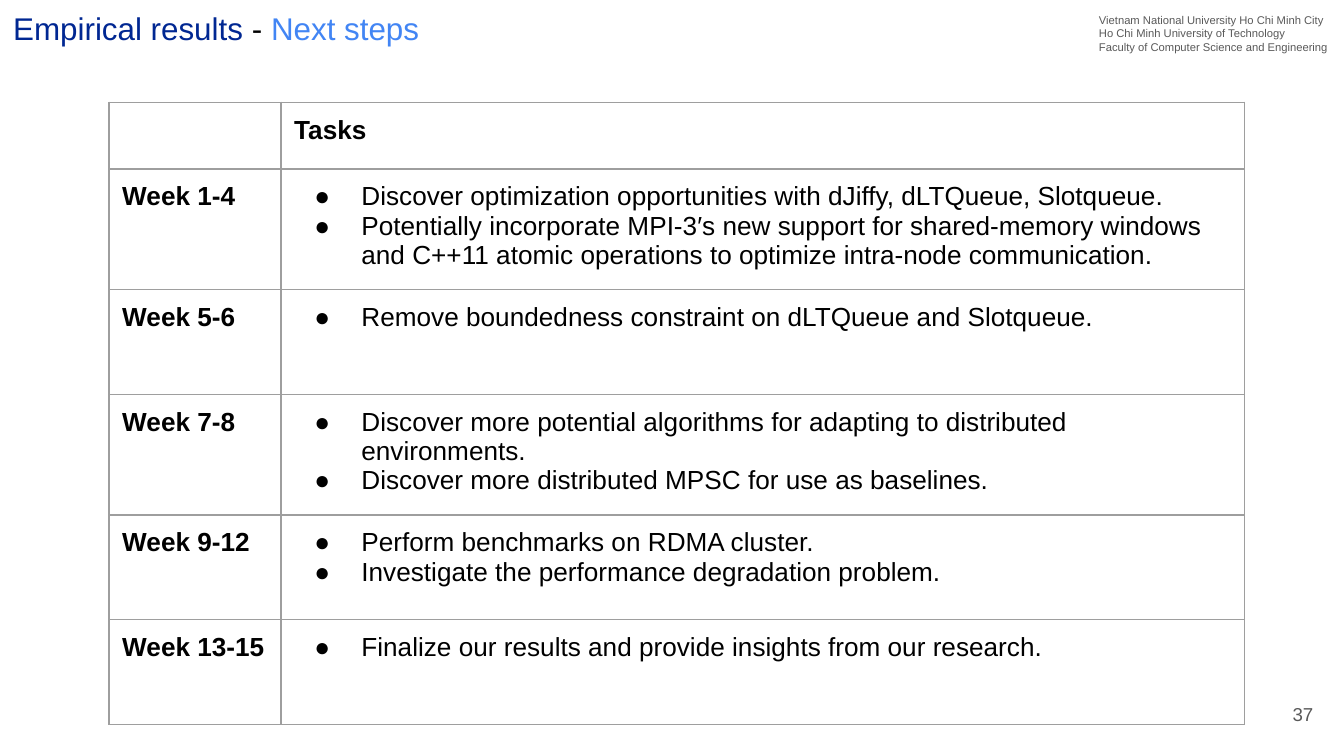
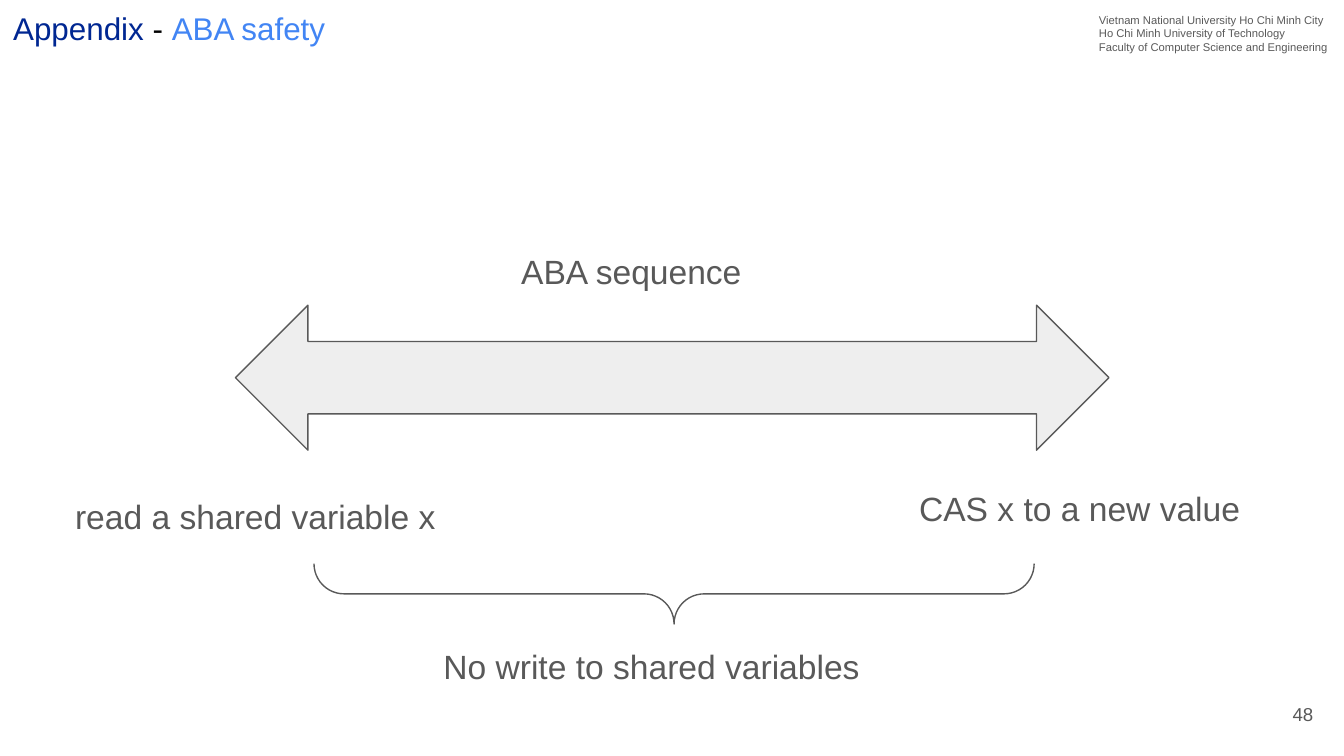
from lxml.etree import SubElement
from pptx import Presentation
from pptx.dml.color import RGBColor
from pptx.enum.shapes import MSO_SHAPE
from pptx.enum.text import MSO_ANCHOR, MSO_AUTO_SIZE, PP_ALIGN
from pptx.oxml.ns import qn
from pptx.util import Cm, Pt

NAVY, BLUE, BLACK = "002792", "4285F4", "000000"
GRAY, SILVER, BORDER = "595959", "EEEEEE", "9E9E9E"
INSET = 0.25

AFFILIATION = [
    "Vietnam National University Ho Chi Minh City",
    "Ho Chi Minh University of Technology",
    "Faculty of Computer Science and Engineering",
]
PLAN = [
    ("Week 1-4", [
        "Discover optimization opportunities with dJiffy, dLTQueue, Slotqueue.",
        "Potentially incorporate MPI-3′s new support for shared-memory windows "
        "and C++11 atomic operations to optimize intra-node communication.",
    ]),
    ("Week 5-6", ["Remove boundedness constraint on dLTQueue and Slotqueue."]),
    ("Week 7-8", [
        "Discover more potential algorithms for adapting to distributed environments.",
        "Discover more distributed MPSC for use as baselines.",
    ]),
    ("Week 9-12", [
        "Perform benchmarks on RDMA cluster.",
        "Investigate the performance degradation problem.",
    ]),
    ("Week 13-15", ["Finalize our results and provide insights from our research."]),
]


def rgb(color):
    return RGBColor.from_string(color)


def add_run(p, text, size=18, color=GRAY, bold=False):
    r = p.add_run()
    r.text = text
    r.font.name = "Arial"
    r.font.size = Pt(size)
    r.font.bold = bold
    r.font.color.rgb = rgb(color)


def add_bullet(p):
    pPr = p._p.get_or_add_pPr()
    pPr.set("marL", str(Cm(1.27)))
    pPr.set("indent", str(Cm(-0.89)))
    clr = SubElement(pPr, qn("a:buClr"))
    SubElement(clr, qn("a:srgbClr"), val=BLACK)
    SubElement(pPr, qn("a:buFont"), typeface="Arial")
    SubElement(pPr, qn("a:buChar"), char="●")


def fill_text(tf, lines, align=None, bullets=False, **fmt):
    for i, line in enumerate(lines):
        p = tf.add_paragraph() if i else tf.paragraphs[0]
        if align is not None:
            p.alignment = align
        if bullets:
            add_bullet(p)
        add_run(p, line, **fmt)


def set_borders(cell):
    tcPr = cell._tc.get_or_add_tcPr()
    for side in ("lnL", "lnR", "lnT", "lnB"):
        ln = SubElement(tcPr, qn(f"a:{side}"), w=str(Pt(0.75)))
        fill = SubElement(ln, qn("a:solidFill"))
        SubElement(fill, qn("a:srgbClr"), val=BORDER)


class Deck:
    def __init__(self):
        self.prs = Presentation()
        self.prs.slide_width = Cm(25.4)
        self.prs.slide_height = Cm(14.29)
        self.s = None

    def slide(self, section, topic, number):
        self.s = self.prs.slides.add_slide(self.prs.slide_layouts[6])
        p = self.frame(0, 0, 18.19, 1.14, MSO_ANCHOR.BOTTOM).paragraphs[0]
        for text, color in ((f"{section} ", NAVY), ("- ", BLACK), (topic, BLUE)):
            add_run(p, text, size=16.8, color=color)
        tf = self.text(AFFILIATION, 20.52, 0, 4.83, size=6)
        tf.margin_right = 0
        tf = self.frame(23.55, 12.95, 1.52, 1.09, MSO_ANCHOR.MIDDLE)
        fill_text(tf, [str(number)], align=PP_ALIGN.RIGHT, size=10)

    def frame(self, x, y, w, h, anchor=MSO_ANCHOR.TOP):
        tf = self.s.shapes.add_textbox(Cm(x), Cm(y), Cm(w), Cm(h)).text_frame
        tf.word_wrap = True
        tf.vertical_anchor = anchor
        tf.margin_left = tf.margin_right = Cm(INSET)
        tf.margin_top = tf.margin_bottom = Cm(INSET)
        return tf

    def text(self, lines, x, y, w, **fmt):
        tf = self.frame(x, y, w, 1.27)
        tf.auto_size = MSO_AUTO_SIZE.SHAPE_TO_FIT_TEXT
        fill_text(tf, lines, **fmt)
        return tf

    def shape(self, kind, x, y, w, h, fill=None, rotation=0):
        sp = self.s.shapes.add_shape(kind, Cm(x), Cm(y), Cm(w), Cm(h))
        sp.shadow.inherit = False
        sp.rotation = rotation
        sp.adjustments[0] = sp.adjustments[1] = 0.5
        if fill:
            sp.fill.solid()
            sp.fill.fore_color.rgb = rgb(fill)
        else:
            sp.fill.background()
        sp.line.color.rgb = rgb(GRAY)
        sp.line.width = Pt(0.75)

    def table(self, plan, x, y, cols, rows):
        table = self.s.shapes.add_table(
            len(rows), len(cols), Cm(x), Cm(y), Cm(sum(cols)), Cm(sum(rows))
        ).table
        table.first_row = table.horz_banding = False
        for col, width in zip(table.columns, cols):
            col.width = Cm(width)
        for row, height in zip(table.rows, rows):
            row.height = Cm(height)
        for cell in table.iter_cells():
            cell.margin_left = cell.margin_right = Cm(INSET)
            cell.margin_top = cell.margin_bottom = Cm(INSET)
            set_borders(cell)
            cell.fill.background()
        style = dict(size=14, color=BLACK)
        fill_text(table.cell(0, 1).text_frame, ["Tasks"], bold=True, **style)
        for i, (week, tasks) in enumerate(plan, 1):
            fill_text(table.cell(i, 0).text_frame, [week], bold=True, **style)
            fill_text(table.cell(i, 1).text_frame, tasks, bullets=True, **style)


def main():
    deck = Deck()

    deck.slide("Empirical results", "Next steps", 37)
    deck.table(PLAN, 2.06, 1.93, [3.25, 18.21], [0.86, 1.32] + [1.98] * 4)

    deck.slide("Appendix", "ABA safety", 48)
    deck.shape(MSO_SHAPE.LEFT_RIGHT_ARROW, 4.45, 5.77, 16.51, 2.74, fill=SILVER)
    deck.shape(MSO_SHAPE.LEFT_BRACE, 12.17, 4.42, 1.14, 13.61, rotation=270)
    for label, x, y, w in (
        ("ABA sequence", 9.6, 4.5, 11.33),
        ("read a shared variable x", 1.17, 9.12, 7.77),
        ("CAS x to a new value", 17.12, 8.97, 7.01),
        ("No write to shared variables", 8.13, 11.96, 9.6),
    ):
        deck.text([label], x, y, w)

    deck.prs.save("out.pptx")


if __name__ == "__main__":
    main()
